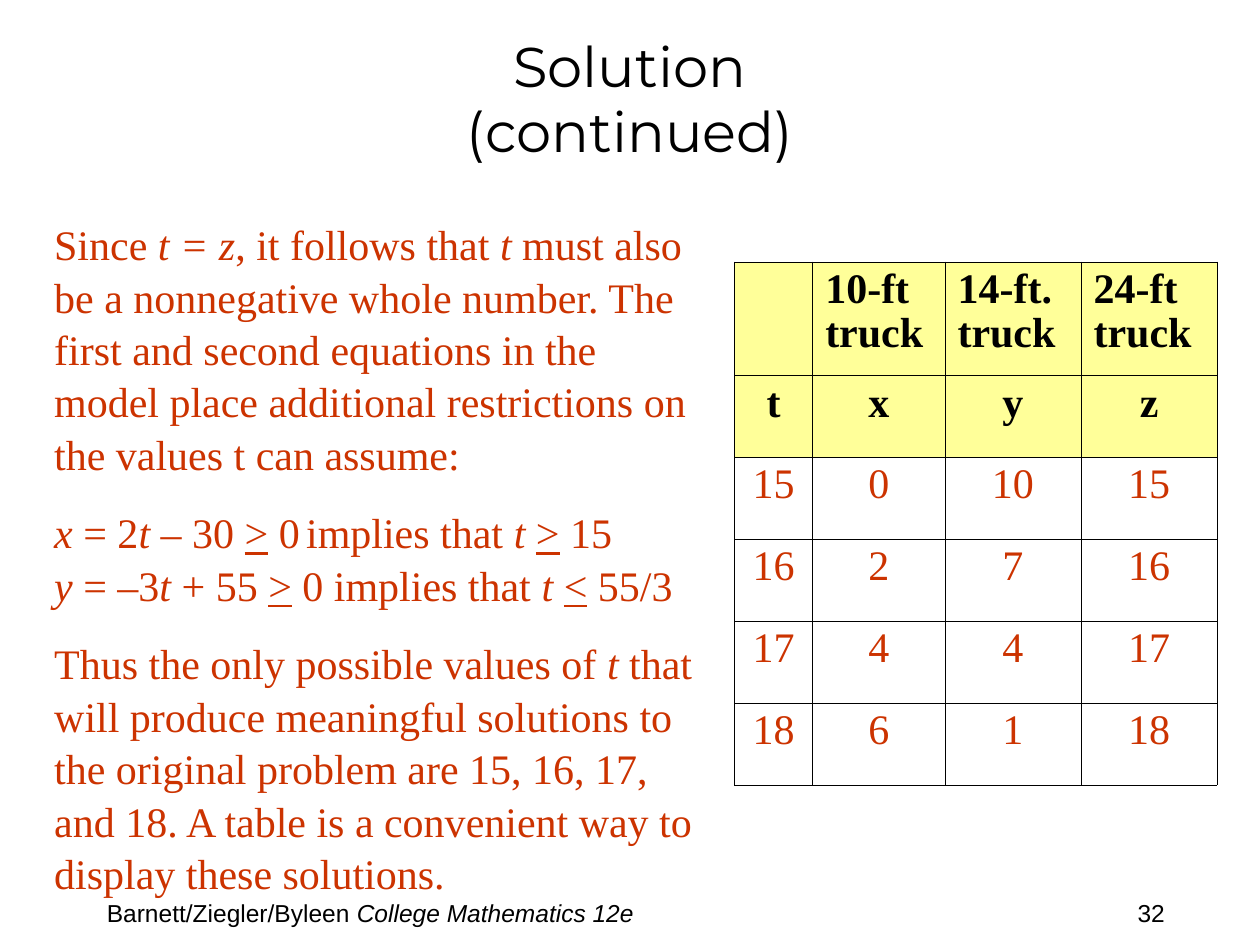
from copy import deepcopy
from dataclasses import dataclass

from lxml.etree import SubElement
from pptx import Presentation
from pptx.dml.color import RGBColor
from pptx.enum.text import MSO_ANCHOR, MSO_AUTO_SIZE, PP_ALIGN
from pptx.oxml.ns import qn
from pptx.util import Inches, Pt


@dataclass(frozen=True)
class Theme:
    ink: RGBColor = RGBColor(0x00, 0x00, 0x00)
    accent: RGBColor = RGBColor(0xCC, 0x33, 0x00)
    header: RGBColor = RGBColor(0xFF, 0xFF, 0x99)
    title_font: str = "Montserrat"
    body_font: str = "Times New Roman"
    footer_font: str = "Arial"
    title_size: Pt = Pt(32)
    body_size: Pt = Pt(24)
    footer_size: Pt = Pt(14)
    border: Pt = Pt(0.45)


ITALIC = {"italic": True}
UNDERLINE = {"underline": True}

EXPLANATION = [
    [("Since ", {}), ("t = z", ITALIC), (", it follows that ", {}), ("t", ITALIC),
     (" must also be a nonnegative whole number. The first and second equations "
      "in the model place additional restrictions on the values t can assume:", {})],
    [("x", ITALIC), (" = 2", {}), ("t", ITALIC), (" – 30 ", {}), (">", UNDERLINE),
     (" 0\timplies that ", {}), ("t ", ITALIC), (">", UNDERLINE), (" 15\n", {}),
     ("y", ITALIC), (" = –3", {}), ("t", ITALIC), (" + 55 ", {}), (">", UNDERLINE),
     (" 0 implies that ", {}), ("t ", ITALIC), ("<", UNDERLINE), (" 55/3", {})],
    [("Thus the only possible values of ", {}), ("t", ITALIC),
     (" that will produce meaningful solutions to the original problem are 15, 16, "
      "17, and 18. A table is a convenient way to display these solutions.", {})],
]

TRUCKS = [
    ["", "10-ft truck", "14-ft. truck", "24-ft truck"],
    ["t", "x", "y", "z"],
    *[[str(t), str(2 * t - 30), str(55 - 3 * t), str(t)] for t in range(15, 19)],
]


def apply(target, values):
    for name, value in values.items():
        setattr(target, name, value)


class SlideBuilder:
    def __init__(self, slide, theme):
        self.slide = slide
        self.theme = theme

    def place(self, shape, left, top, width, height):
        apply(shape, {"left": Inches(left), "top": Inches(top),
                      "width": Inches(width), "height": Inches(height)})

    def add_runs(self, paragraph, segments, face, size, color, **base):
        for text, style in segments:
            for index, line in enumerate(text.split("\n")):
                if index:
                    paragraph.add_line_break()
                    paragraph._p[-1].append(deepcopy(run._r.rPr))
                if not line:
                    continue
                run = paragraph.add_run()
                run.text = line
                apply(run.font, {"name": face, "size": size, **base, **style})
                run.font.color.rgb = color

    def title(self, text, *box):
        heading = self.slide.shapes.title
        self.place(heading, *box)
        apply(heading.text_frame, {"vertical_anchor": MSO_ANCHOR.MIDDLE,
                                   "auto_size": MSO_AUTO_SIZE.NONE, "word_wrap": True})
        paragraph = heading.text_frame.paragraphs[0]
        apply(paragraph, {"alignment": PP_ALIGN.CENTER, "line_spacing": 0.97})
        self.add_runs(paragraph, [(text, {})], self.theme.title_font,
                      self.theme.title_size, self.theme.ink)

    def body(self, paragraphs, tab, *box):
        explanation = self.slide.placeholders[1]
        self.place(explanation, *box)
        frame = explanation.text_frame
        apply(frame, {"auto_size": MSO_AUTO_SIZE.NONE, "word_wrap": True,
                      "vertical_anchor": MSO_ANCHOR.TOP})
        for index, segments in enumerate(paragraphs):
            paragraph = frame.add_paragraph() if index else frame.paragraphs[0]
            properties = paragraph._p.get_or_add_pPr()
            properties.set("marL", "0")
            properties.set("indent", "0")
            SubElement(properties, qn("a:buNone"))
            if any("\t" in text for text, _ in segments):
                stops = SubElement(properties, qn("a:tabLst"))
                SubElement(stops, qn("a:tab"), pos=str(Inches(tab)), algn="l")
            apply(paragraph, {"space_before": Pt(15 if index else 0),
                              "line_spacing": 1.04, "alignment": PP_ALIGN.LEFT})
            self.add_runs(paragraph, segments, self.theme.body_font,
                          self.theme.body_size, self.theme.accent)

    def footer(self, segments, *box):
        note = self.slide.shapes.add_textbox(*map(Inches, box))
        note.text_frame.word_wrap = True
        self.add_runs(note.text_frame.paragraphs[0], segments, self.theme.footer_font,
                      self.theme.footer_size, self.theme.ink)

    def outline(self, cell):
        properties = cell._tc.get_or_add_tcPr()
        for side in ("lnL", "lnR", "lnT", "lnB"):
            edge = SubElement(properties, qn(f"a:{side}"), w=str(self.theme.border))
            fill = SubElement(edge, qn("a:solidFill"))
            SubElement(fill, qn("a:srgbClr"), val=str(self.theme.ink))

    def table(self, rows, widths, heights, left, top):
        grid = self.slide.shapes.add_table(
            len(rows), len(widths), Inches(left), Inches(top),
            Inches(sum(widths)), Inches(sum(heights))).table
        apply(grid, {"first_row": False, "horz_banding": False})
        for column, width in zip(grid.columns, widths):
            column.width = Inches(width)
        for row, height in zip(grid.rows, heights):
            row.height = Inches(height)
        for r, values in enumerate(rows):
            heading = r < 2
            for c, value in enumerate(values):
                cell = grid.cell(r, c)
                self.outline(cell)
                if heading:
                    cell.fill.solid()
                    cell.fill.fore_color.rgb = self.theme.header
                else:
                    cell.fill.background()
                paragraph = cell.text_frame.paragraphs[0]
                apply(paragraph, {"alignment": PP_ALIGN.CENTER if r else PP_ALIGN.LEFT,
                                  "line_spacing": 0.95})
                self.add_runs(paragraph, [(value, {})], self.theme.body_font,
                              self.theme.body_size,
                              self.theme.ink if heading else self.theme.accent,
                              bold=heading)


def main():
    deck = Presentation()
    apply(deck, {"slide_width": Inches(10), "slide_height": Inches(7.5)})
    builder = SlideBuilder(deck.slides.add_slide(deck.slide_layouts[1]), Theme())
    builder.footer([("32", {})], 8.93, 7.08, 1.07, 0.34)
    builder.footer([("Barnett/Ziegler/Byleen ", {}),
                    ("College Mathematics 12e", ITALIC)], 0.75, 7.08, 5.83, 0.25)
    builder.title("Solution\n(continued)", 0.75, 0.17, 8.5, 1.25)
    builder.body(EXPLANATION, 2.2, 0.33, 1.67, 5.33, 5.32)
    builder.table(TRUCKS, [0.62, 1.05, 1.08, 1.08], [0.9] + [0.65] * 5, 5.83, 2.08)
    deck.save("out.pptx")


if __name__ == "__main__":
    main()
